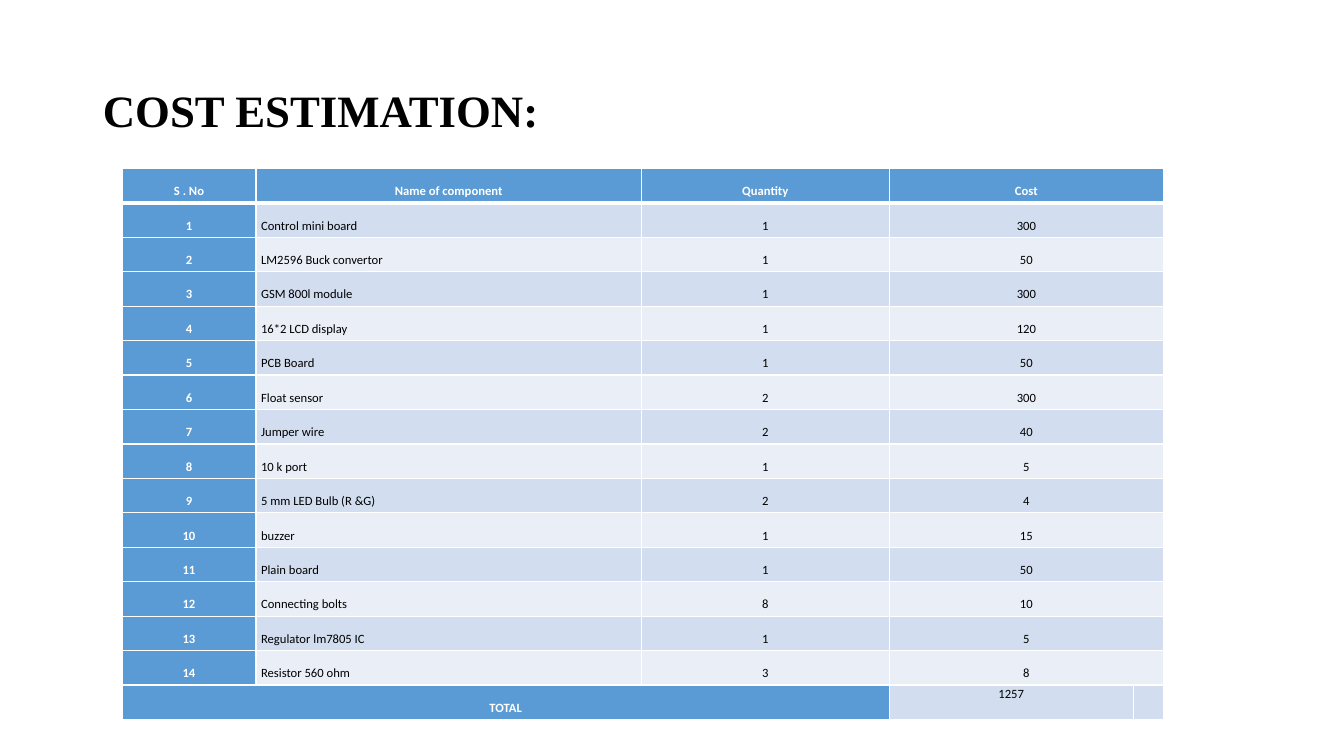
from lxml import etree
from pptx import Presentation
from pptx import util as u
from pptx.dml.color import RGBColor
from pptx.enum import text
from pptx.oxml import ns

BLACK = RGBColor(0x00, 0x00, 0x00)
WHITE = RGBColor(0xFF, 0xFF, 0xFF)
BLUE = RGBColor(0x5B, 0x9B, 0xD5)
BANDS = (RGBColor(0xD2, 0xDE, 0xEF), RGBColor(0xEA, 0xEF, 0xF7))

HEADINGS = ("S . No", "Name of component", "Quantity", "Cost")
COMPONENTS = (
    ("Control mini board", 1, 300),
    ("LM2596 Buck convertor", 1, 50),
    ("GSM 800l module", 1, 300),
    ("16*2 LCD display", 1, 120),
    ("PCB Board", 1, 50),
    ("Float sensor", 2, 300),
    ("Jumper wire", 2, 40),
    ("10 k port", 1, 5),
    ("5 mm LED Bulb (R &G)", 2, 4),
    ("buzzer", 1, 15),
    ("Plain board", 1, 50),
    ("Connecting bolts", 8, 10),
    ("Regulator lm7805 IC", 1, 5),
    ("Resistor 560 ohm", 3, 8),
)
COLUMN_WIDTHS = (1.33, 3.82, 2.46, 2.42, 0.3)
TABLE_HEIGHT = 5.47


class SlideBuilder:
    title_font = "Times New Roman"
    body_font = "Calibri"

    def __init__(self, prs):
        self.s = prs.slides.add_slide(prs.slide_layouts[5])

    def title(self, wording, left, top, width, height):
        sp = self.s.shapes.title
        sp.left, sp.top = u.Inches(left), u.Inches(top)
        sp.width, sp.height = u.Inches(width), u.Inches(height)
        tf = sp.text_frame
        tf.auto_size = text.MSO_AUTO_SIZE.NONE
        tf.vertical_anchor = text.MSO_ANCHOR.MIDDLE
        tf.text = wording
        p = tf.paragraphs[0]
        p.alignment = text.PP_ALIGN.LEFT
        p.line_spacing = 0.9
        self.font(p, self.title_font, 32, BLACK, True)

    def table(self, left, top, widths, height, row_count):
        frame = self.s.shapes.add_table(
            row_count, len(widths), u.Inches(left), u.Inches(top),
            u.Inches(sum(widths)), u.Inches(height))
        table = frame.table
        table.first_row = table.horz_banding = False
        for column, width in zip(table.columns, widths):
            column.width = u.Inches(width)
        for row in table.rows:
            row.height = u.Inches(height / row_count)
        return table

    def cell(self, cell, wording, fill, accent=False, centred=True,
             spacing=2.0, top_line=1, bottom_line=1):
        cell.margin_left = cell.margin_right = u.Inches(0.05)
        cell.margin_top = cell.margin_bottom = 0
        self.borders(cell, L=1, R=1, T=top_line, B=bottom_line)
        cell.fill.solid()
        cell.fill.fore_color.rgb = fill
        cell.text = str(wording)
        p = cell.text_frame.paragraphs[0]
        p.alignment = text.PP_ALIGN.CENTER if centred else text.PP_ALIGN.LEFT
        p.line_spacing = spacing
        self.font(p, self.body_font, 9, WHITE if accent else BLACK, accent)

    def borders(self, cell, **widths):
        props = cell._tc.get_or_add_tcPr()
        for side, width in widths.items():
            line = etree.SubElement(props, ns.qn(f"a:ln{side}"), w=str(u.Pt(width)))
            fill = etree.SubElement(line, ns.qn("a:solidFill"))
            etree.SubElement(fill, ns.qn("a:srgbClr"), val=str(WHITE))

    def font(self, p, name, size, color, bold):
        p.font.name = name
        p.font.size = u.Pt(size)
        p.font.color.rgb = color
        p.font.bold = bold


def main():
    prs = Presentation()
    prs.slide_width, prs.slide_height = u.Inches(13.33), u.Inches(7.5)
    slide = SlideBuilder(prs)
    slide.title("COST ESTIMATION:", 0.92, 0.4, 11.5, 1.45)

    total_row = len(COMPONENTS) + 1
    table = slide.table(1.21, 1.67, COLUMN_WIDTHS, TABLE_HEIGHT, total_row + 1)
    for c, heading in enumerate(HEADINGS + ("",)):
        slide.cell(table.cell(0, c), heading, BLUE, accent=True, bottom_line=3)
    for r, component in enumerate(COMPONENTS, 1):
        for c, value in enumerate((r,) + component + ("",)):
            fill = BLUE if c == 0 else BANDS[(r - 1) % 2]
            slide.cell(table.cell(r, c), value, fill, accent=c == 0,
                       centred=c != 1, top_line=3 if r == 1 else 1)
    for c, value in enumerate(("TOTAL", "", "", 1257, "")):
        label = c < 3
        slide.cell(table.cell(total_row, c), value, BLUE if label else BANDS[0],
                   accent=label, spacing=2.0 if label else 1.07)

    for r in range(total_row):
        table.cell(r, 3).merge(table.cell(r, 4))
    table.cell(total_row, 0).merge(table.cell(total_row, 2))
    prs.save("out.pptx")


if __name__ == "__main__":
    main()
